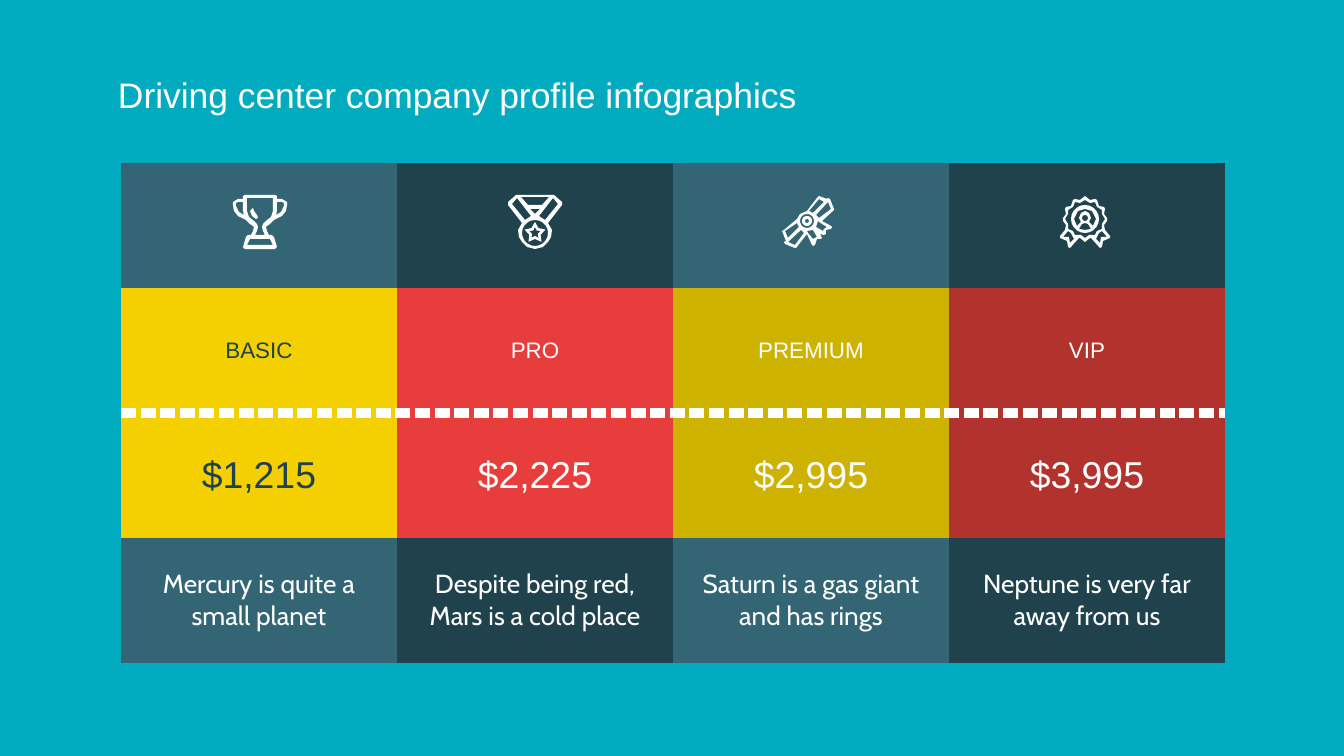
import math
from dataclasses import dataclass
from typing import Any

import lxml.etree
import pptx
import pptx.dml.color
import pptx.enum.text
import pptx.oxml.ns
import pptx.util

Point = tuple[float, float]
Contour = list[Point]
EMU_PER_PX = 914400 / 134.4
NO_GRID_STYLE = "{2D5ABB26-0587-4C30-8999-92F81FD0307C}"


@dataclass(frozen=True)
class Theme:
    background: str = "00ABBF"
    white: str = "FFFFFF"
    slate: str = "336574"
    dark: str = "1F424C"
    heading_font: str = "Arial"
    body_font: str = "Cabin"
    title_size: int = 19
    name_size: int = 12
    price_size: int = 20
    body_size: int = 14
    divider: int = 6


@dataclass(frozen=True)
class Icon:
    """Two filled figures, each an outer contour followed by its holes."""
    x: int
    body: list[Contour]
    detail: list[Contour]


@dataclass(frozen=True)
class Plan:
    name: str
    price: str
    text: str
    fill: str
    ink: str
    shade: str
    icon: Icon


THEME = Theme()


def px(length: float) -> int:
    return round(length * EMU_PER_PX)


def rgb(color: str) -> pptx.dml.color.RGBColor:
    return pptx.dml.color.RGBColor.from_string(color)


def assign(target: Any, values: dict[str, Any]) -> None:
    for name, value in values.items():
        setattr(target, name, value)


def mirror(points: Contour) -> Contour:
    return [(-x, y) for x, y in points]


def whole(*half: Point) -> Contour:
    """Symmetric contour from its right half."""
    return list(half) + mirror(list(half))[::-1]


def twins(*points: Point) -> list[Contour]:
    return [list(points), mirror(list(points))]


def star(count: int, outer: float, inner: float, x: int = 0, y: int = 0) -> Contour:
    radii, turn = (outer, inner), math.pi / count
    return [(x + radii[step % 2] * math.sin(step * turn),
             y - radii[step % 2] * math.cos(step * turn)) for step in range(2 * count)]


def circle(radius: float, x: int = 0, y: int = 0) -> Contour:
    return star(10, radius, radius, x, y)


# Icons: px offsets from the icon centre
TROPHY = Icon(260, [
    whole((0, -27), (15, -27), (17, -26), (17, -23), (22, -23), (27, -20), (27, -17),
          (26, -11), (22, -6), (14, -2), (10, 2), (7, 4), (6, 5), (7, 9), (9, 13),
          (12, 13), (14, 15), (17, 25), (15, 27), (0, 27)),
    whole((0, -24), (13, -24), (13, -11), (11, -5), (6, -1), (3, 2), (2, 5), (3, 9),
          (5, 13), (0, 13)),
    whole((0, 17), (10, 17), (13, 23), (0, 23)),
    *twins((17, -20), (22, -20), (24, -19), (24, -16), (21, -10), (16, -7), (17, -11)),
], [[(-7, -14), (-10, -11), (-8, -6), (-4, -3), (-2, -4), (-3, -7), (-6, -11)]])
MEDAL = Icon(535, [
    whole((0, -27), (17, -27), (19, -27), (27, -20), (27, -17), (13, 1), (17, 8),
          (16, 15), (13, 20), (8, 25), (0, 27)),
    whole((0, -25), (14, -25), (7, -17), (0, -17)),
    whole((0, -13), (5, -13), (0, -8)),
    *twins((18, -24), (23, -18), (10, -2), (4, -6)),
    circle(13, y=11),
], [star(5, 11, 6, y=11), star(5, 6, 3, y=11)])
SCROLL = Icon(808, [
    [(11, -26), (9, -24), (-1, -11), (-8, -8), (-11, -3), (-24, 8), (-26, 9), (-22, 19),
     (-24, 20), (-23, 22), (-13, 26), (-12, 26), (-1, 12), (4, 23), (5, 24), (7, 23),
     (9, 17), (13, 17), (14, 16), (12, 12), (16, 13), (18, 12), (18, 8), (23, 7),
     (24, 5), (23, 4), (14, -1), (26, -12), (26, -13), (22, -23), (20, -24), (19, -23)],
    [(11, -23), (16, -20), (5, -9), (1, -11)],
    [(20, -20), (23, -13), (11, -4), (8, -7)],
    [(10, -1), (11, 0), (19, 5), (16, 7), (15, 9), (8, 5)],
    [(-11, 1), (-9, 5), (-20, 16), (-23, 9)],
    [(5, 8), (9, 15), (7, 16), (5, 17), (0, 11), (-1, 9)],
    [(-7, 8), (-4, 11), (-13, 23), (-20, 20)],
    circle(7, -1, -1),
], [circle(5, -1, -1), circle(2, -1, -1)])
BADGE = Icon(1085, [
    whole((0, -26), (5, -22), (10, -23), (12, -22), (14, -16), (19, -15), (20, -13),
          (19, -8), (22, -4), (22, -1), (19, 3), (20, 8), (25, 14), (25, 16), (18, 19),
          (17, 25), (15, 26), (6, 16), (5, 16), (0, 20)),
    whole((0, -22), (5, -19), (10, -20), (12, -15), (17, -12), (17, -8), (20, -3),
          (17, 2), (17, 7), (12, 9), (10, 13), (4, 13), (0, 16)),
    *twins((17, 9), (22, 15), (16, 15), (15, 21), (11, 17), (14, 11)),
], [
    circle(14, y=-3),
    whole((0, -13), (7, -11), (11, -3), (8, 4), (4, 0), (6, -4), (4, -9), (0, -11)),
    circle(3, y=-4),
    whole((0, 1), (3, 2), (6, 7), (0, 8)),
])

PLANS = [
    Plan("BASIC", "$1,215", "Mercury is quite a small planet",
         "F4D000", THEME.dark, THEME.slate, TROPHY),
    Plan("PRO", "$2,225", "Despite being red, Mars is a cold place",
         "E83D3D", THEME.white, THEME.dark, MEDAL),
    Plan("PREMIUM", "$2,995", "Saturn is a gas giant and has rings",
         "CEB200", THEME.white, THEME.slate, SCROLL),
    Plan("VIP", "$3,995", "Neptune is very far away from us",
         "B2322E", THEME.white, THEME.dark, BADGE),
]
TABLE_LEFT, TABLE_TOP, COLUMN, ROW, ICON_Y = 121, 163, 276, 125, 222


def write(frame: Any, text: str, font: str, size: int, color: str, align: Any) -> None:
    para = frame.paragraphs[0]
    para.alignment = align
    span = para.add_run()
    span.text = text
    assign(span.font, {"name": font, "size": pptx.util.Pt(size), "bold": False})
    span.font.color.rgb = rgb(color)


def draw_icon(page: Any, icon: Icon) -> None:
    group = page.shapes.add_group_shape().shapes
    for figure in (icon.body, icon.detail):
        contours = [[(px(icon.x + x), px(ICON_Y + y)) for x, y in contour] for contour in figure]
        builder = group.build_freeform(*contours[0][0])
        for index, contour in enumerate(contours):
            if index:
                builder.move_to(*contour[0])
            builder.add_line_segments(contour[1:], close=True)
        shape = builder.convert_to_shape()
        shape.shadow.inherit = False
        shape.fill.solid()
        shape.fill.fore_color.rgb = rgb(THEME.white)
        shape.line.fill.background()


def set_borders(cell: Any, divider: str) -> None:
    """Dash the named side and clear the other three."""
    qn = pptx.oxml.ns.qn
    for index, tag in enumerate(("a:lnL", "a:lnR", "a:lnT", "a:lnB")):
        line = lxml.etree.Element(qn(tag))
        if tag == divider:
            line.set("w", str(pptx.util.Pt(THEME.divider)))
            fill = lxml.etree.SubElement(line, qn("a:solidFill"))
            lxml.etree.SubElement(fill, qn("a:srgbClr"), val=THEME.white)
            lxml.etree.SubElement(line, qn("a:prstDash"), val="dash")
        else:
            lxml.etree.SubElement(line, qn("a:noFill"))
        cell._tc.get_or_add_tcPr().insert(index, line)


def draw_table(page: Any) -> None:
    table = page.shapes.add_table(
        4, len(PLANS), px(TABLE_LEFT), px(TABLE_TOP), px(COLUMN * len(PLANS)), px(ROW * 4)).table
    assign(table, {"first_row": False, "horz_banding": False})
    table._tbl.tblPr.find(pptx.oxml.ns.qn("a:tableStyleId")).text = NO_GRID_STYLE
    for row in table.rows:
        row.height = px(ROW)
    for column, plan in enumerate(PLANS):
        table.columns[column].width = px(COLUMN)
        rows = [
            ("", THEME.body_font, THEME.body_size, THEME.white, plan.shade, ""),
            (plan.name, THEME.heading_font, THEME.name_size, plan.ink, plan.fill, "a:lnB"),
            (plan.price, THEME.heading_font, THEME.price_size, plan.ink, plan.fill, "a:lnT"),
            (plan.text, THEME.body_font, THEME.body_size, THEME.white, plan.shade, ""),
        ]
        for index, (text, font, size, ink, fill, divider) in enumerate(rows):
            cell = table.cell(index, column)
            cell.fill.solid()
            cell.fill.fore_color.rgb = rgb(fill)
            margins = ("margin_left", "margin_right", "margin_top", "margin_bottom")
            assign(cell, dict.fromkeys(margins, pptx.util.Inches(0.1)))
            cell.vertical_anchor = pptx.enum.text.MSO_ANCHOR.MIDDLE
            set_borders(cell, divider)
            if text:
                write(cell.text_frame, text, font, size, ink, pptx.enum.text.PP_ALIGN.CENTER)


def main() -> None:
    deck = pptx.Presentation()
    assign(deck, {"slide_width": px(1344), "slide_height": px(756)})
    page = deck.slides.add_slide(deck.slide_layouts[5])
    page.background.fill.solid()
    page.background.fill.fore_color.rgb = rgb(THEME.background)

    # Title
    title = page.shapes.title
    assign(title, {"left": px(105), "top": px(59), "width": px(1134), "height": px(85)})
    assign(title.text_frame, {
        "word_wrap": True, "auto_size": pptx.enum.text.MSO_AUTO_SIZE.NONE,
        "vertical_anchor": pptx.enum.text.MSO_ANCHOR.TOP,
        "margin_left": px(13), "margin_right": px(13), "margin_top": px(14)})
    write(title.text_frame, "Driving center company profile infographics", THEME.heading_font,
          THEME.title_size, THEME.white, pptx.enum.text.PP_ALIGN.LEFT)

    # Price table with an icon on top of each column
    draw_table(page)
    for plan in PLANS:
        draw_icon(page, plan.icon)
    deck.save("out.pptx")


if __name__ == "__main__":
    main()
